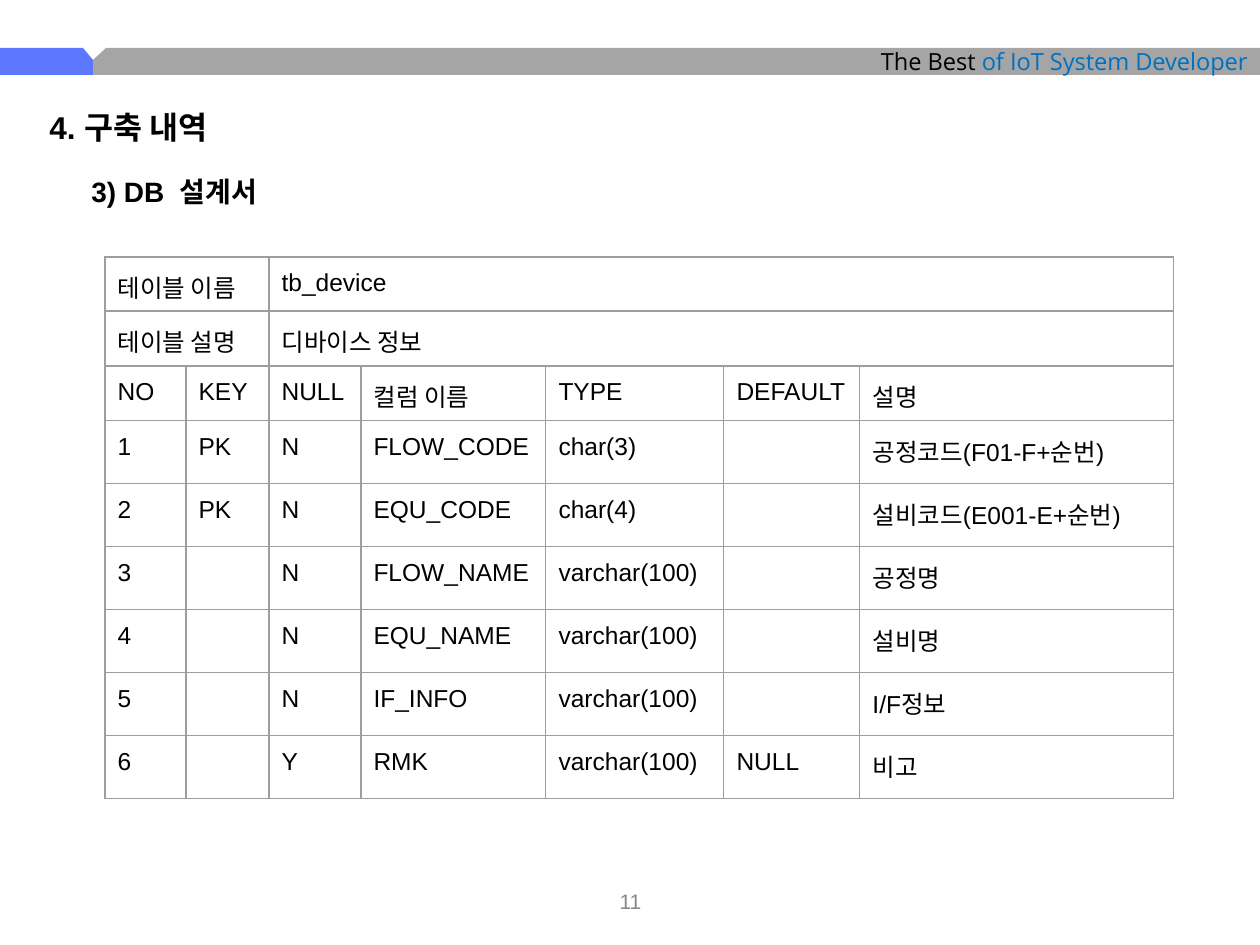
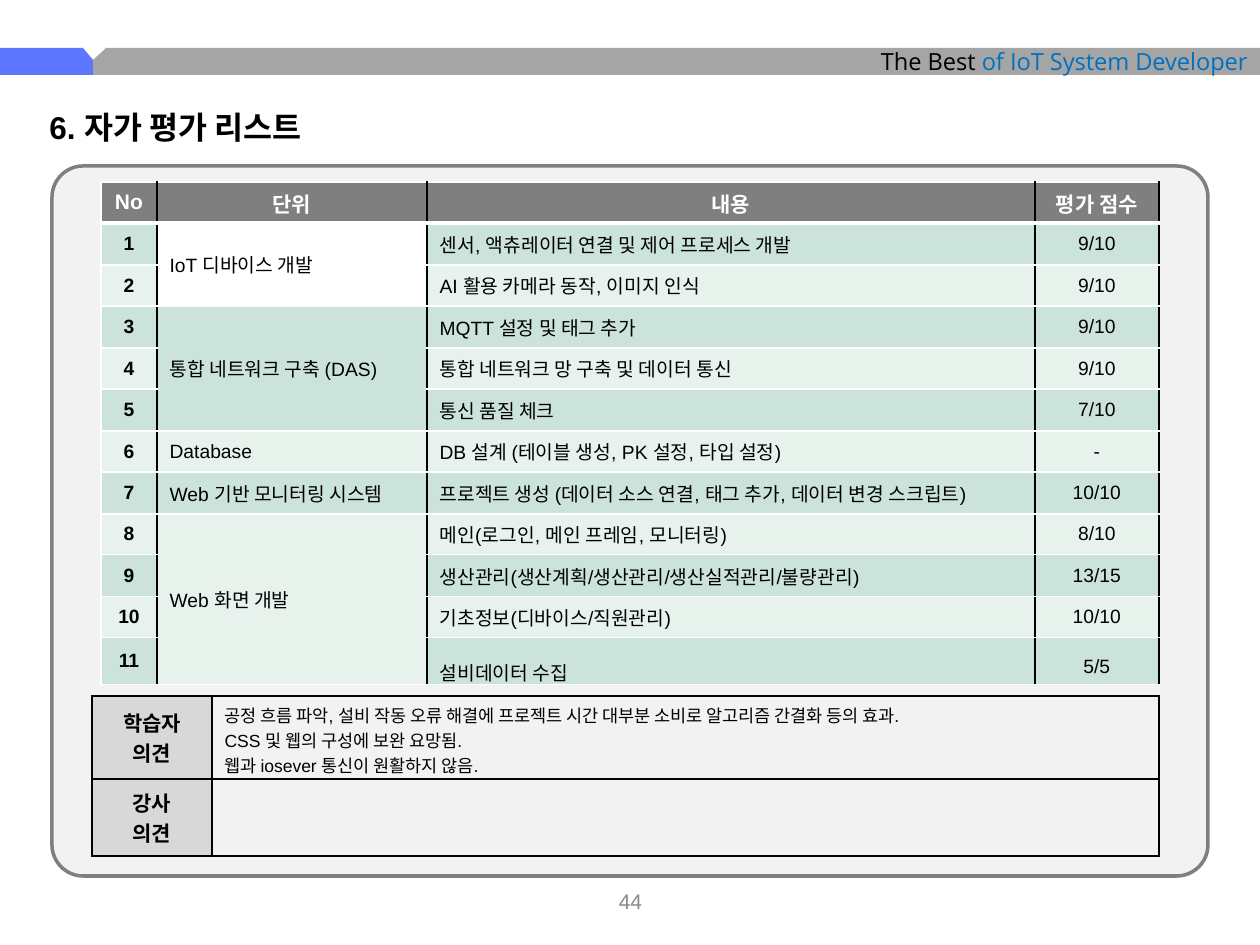
import lxml.etree
import pptx
import pptx.dml.color
import pptx.enum.shapes
import pptx.enum.text
import pptx.oxml.ns
import pptx.util

PX = 914400 / 126
LEFT = pptx.enum.text.PP_ALIGN.LEFT
CENTER = pptx.enum.text.PP_ALIGN.CENTER
RIGHT = pptx.enum.text.PP_ALIGN.RIGHT
TOP = pptx.enum.text.MSO_ANCHOR.TOP
MIDDLE = pptx.enum.text.MSO_ANCHOR.MIDDLE

BLACK, WHITE = "000000", "FFFFFF"
ACCENT, BAND, LINK = "5D78FF", "A5A5A5", "0070C0"
GRID, NUMBER = "9E9E9E", "888888"
PANEL, DARK, LABEL = "F2F2F2", "7F7F7F", "D8D8D8"
STRIPES = ("E7F2ED", "CBE3DA")


def px(value):
    return pptx.util.Emu(round(value * PX))


def color(value):
    return pptx.dml.color.RGBColor.from_string(value)


class Report:
    font = "Arial"
    band_font = "Open Sans"

    def __init__(self):
        self.deck = pptx.Presentation()
        self.deck.slide_width = px(1260)
        self.deck.slide_height = px(945)
        self.page = None

    def start_page(self, number, title):
        self.page = self.deck.slides.add_slide(self.deck.slide_layouts[6])
        self.outline([(0, 48), (83, 48), (93, 60), (93, 75), (0, 75)], ACCENT)
        band = self.outline([(106, 48), (1260, 48), (1260, 75), (93, 75), (93, 60)], BAND)
        band.text_frame.word_wrap = True
        band.text_frame.vertical_anchor = MIDDLE
        para = band.text_frame.paragraphs[0]
        para.alignment = RIGHT
        for words, shade in (("The Best ", BLACK), ("of IoT System Developer", LINK)):
            self.span(para, words, 13.5, shade, font=self.band_font)
        self.text(489, 876, 283, 50, str(number), 12, NUMBER, align=CENTER, anchor=MIDDLE)
        self.text(37, 102, 310, 50, title, 18, bold=True)

    def outline(self, points, fill):
        builder = self.page.shapes.build_freeform(*points[0], scale=PX)
        builder.add_line_segments(points[1:], close=True)
        return self.paint(builder.convert_to_shape(), fill)

    def paint(self, shape, fill, line=None, weight=0):
        shape.shadow.inherit = False
        shape.fill.solid()
        shape.fill.fore_color.rgb = color(fill)
        if line:
            shape.line.color.rgb = color(line)
            shape.line.width = pptx.util.Pt(weight)
        else:
            shape.line.fill.background()
        return shape

    def panel(self, left, top, width, height, corner):
        kind = pptx.enum.shapes.MSO_SHAPE.ROUNDED_RECTANGLE
        shape = self.page.shapes.add_shape(kind, px(left), px(top), px(width), px(height))
        shape.adjustments[0] = corner
        self.paint(shape, PANEL, DARK, 2)

    def span(self, para, words, size, shade=BLACK, bold=False, font=None):
        span = para.add_run()
        span.text = words
        span.font.name = font or self.font
        span.font.size = pptx.util.Pt(size)
        span.font.bold = bold
        span.font.color.rgb = color(shade)

    def add_lines(self, frame, words, size, shade=BLACK, bold=False, align=LEFT, spacing=None):
        for index, line in enumerate(words.split("\n")):
            para = frame.add_paragraph() if index else frame.paragraphs[0]
            para.alignment = align
            if spacing:
                para.line_spacing = spacing
            if line:
                self.span(para, line, size, shade, bold)
            else:
                end = pptx.oxml.ns.qn("a:endParaRPr")
                lxml.etree.SubElement(para._p, end, sz=str(size * 100))

    def text(self, left, top, width, height, words, size, shade=BLACK,
             bold=False, align=LEFT, anchor=TOP):
        box = self.page.shapes.add_textbox(px(left), px(top), px(width), px(height))
        box.text_frame.word_wrap = True
        box.text_frame.vertical_anchor = anchor
        self.add_lines(box.text_frame, words, size, shade, bold, align)

    def border(self, cell, edges):
        properties = cell._tc.get_or_add_tcPr()
        for side, (shade, weight) in zip("LRTB", edges):
            line = lxml.etree.SubElement(
                properties, pptx.oxml.ns.qn("a:ln" + side), w=str(int(pptx.util.Pt(weight))))
            fill = lxml.etree.SubElement(line, pptx.oxml.ns.qn("a:solidFill"))
            lxml.etree.SubElement(fill, pptx.oxml.ns.qn("a:srgbClr"), val=shade)

    def table(self, left, top, widths, heights, rows, merges, style, inset=6, anchor=MIDDLE):
        frame = self.page.shapes.add_table(
            len(heights), len(widths), px(left), px(top), px(sum(widths)), px(sum(heights)))
        table = frame.table
        table.first_row = False
        table.horz_banding = False
        for column, width in zip(table.columns, widths):
            column.width = px(width)
        for line, height in zip(table.rows, heights):
            line.height = px(height)
        for row, values in enumerate(rows):
            for column, words in enumerate(values):
                cell = table.cell(row, column)
                look = style(row, column)
                self.border(cell, look["edges"])
                if look.get("fill"):
                    cell.fill.solid()
                    cell.fill.fore_color.rgb = color(look["fill"])
                else:
                    cell.fill.background()
                cell.vertical_anchor = anchor
                cell.margin_left = cell.margin_right = pptx.util.Inches(0.1)
                cell.margin_top = cell.margin_bottom = px(inset)
                self.add_lines(cell.text_frame, words, **look["text"])
        for first_row, first_column, last_row, last_column in merges:
            table.cell(first_row, first_column).merge(table.cell(last_row, last_column))


def schema_style(row, column):
    return {"edges": [(GRID, 0.75)] * 4, "text": {"size": 14}}


def score_style(row, column):
    header = row == 0
    left = WHITE if column == 0 else BLACK
    top_weight = 3 if row == 1 else 1
    bottom_weight = 3 if header else 1
    edges = [(left, 1), (BLACK, 1), (WHITE, top_weight), (WHITE, bottom_weight)]
    text = {"size": 12 if header else 11,
            "shade": WHITE if header else BLACK,
            "bold": header or column == 0,
            "align": CENTER if header or column in (0, 3) else LEFT}
    if row == 11 and column > 1:
        text["spacing"] = 1.5
    fill = DARK if header else STRIPES[row % 2]
    if column == 1 and row in (1, 2):
        fill = WHITE
    return {"edges": edges, "text": text, "fill": fill}


def opinion_style(row, column):
    edges = [(BLACK, 1)] * 4
    if column:
        return {"edges": edges, "text": {"size": 10}}
    return {"edges": edges, "fill": LABEL,
            "text": {"size": 12, "bold": True, "align": CENTER}}


def build_schema(report):
    report.start_page(11, "4. 구축 내역")
    report.text(79, 168, 205, 47, "3) DB  설계서", 16, bold=True)
    rows = [
        ("테이블 이름", "", "tb_device", "", "", "", ""),
        ("테이블 설명", "", "디바이스 정보", "", "", "", ""),
        ("NO", "KEY", "NULL", "컬럼 이름", "TYPE", "DEFAULT", "설명"),
        ("1", "PK", "N", "FLOW_CODE", "char(3)", "", "공정코드(F01-F+순번)"),
        ("2", "PK", "N", "EQU_CODE", "char(4)", "", "설비코드(E001-E+순번)"),
        ("3", "", "N", "FLOW_NAME", "varchar(100)", "", "공정명"),
        ("4", "", "N", "EQU_NAME", "varchar(100)", "", "설비명"),
        ("5", "", "N", "IF_INFO", "varchar(100)", "", "I/F정보"),
        ("6", "", "Y", "RMK", "varchar(100)", "NULL", "비고"),
    ]
    merges = [(row, first, row, last) for row in (0, 1) for first, last in ((0, 1), (2, 6))]
    report.table(105, 257, [81, 83, 92, 185, 178, 136, 314], [54, 55, 55] + [63] * 6,
                 rows, merges, schema_style, inset=12, anchor=TOP)


def build_evaluation(report):
    report.start_page(44, "6. 자가 평가 리스트")
    report.panel(52, 166, 1156, 710, 0.044)
    tasks = [
        ("IoT 디바이스 개발", "센서, 액츄레이터 연결 및 제어 프로세스 개발", "9/10"),
        ("", "AI 활용 카메라 동작, 이미지 인식", "9/10"),
        ("통합 네트워크 구축 (DAS)", "MQTT 설정 및 태그 추가", "9/10"),
        ("", "통합 네트워크 망 구축 및 데이터 통신", "9/10"),
        ("", "통신 품질 체크", "7/10"),
        ("Database", "DB 설계 (테이블 생성, PK 설정, 타입 설정)", "-"),
        ("Web 기반 모니터링 시스템",
         "프로젝트 생성 (데이터 소스 연결, 태그 추가, 데이터 변경 스크립트)", "10/10"),
        ("Web 화면 개발", "메인(로그인, 메인 프레임, 모니터링)", "8/10"),
        ("", "생산관리(생산계획/생산관리/생산실적관리/불량관리)", "13/15"),
        ("", "기초정보(디바이스/직원관리)", "10/10"),
        ("", "설비데이터 수집", "5/5"),
    ]
    rows = [("No", "단위", "내용", "평가 점수")]
    rows += [(str(number), *task) for number, task in enumerate(tasks, 1)]
    merges = [(first, 1, last, 1) for first, last in ((1, 2), (3, 5), (8, 11))]
    report.table(101, 182, [56, 270, 608, 124], [41, 42] * 5 + [41, 47],
                 rows, merges, score_style)
    opinions = [
        ("학습자\n의견",
         "공정 흐름 파악, 설비 작동 오류 해결에 프로젝트 시간 대부분 소비로 알고리즘 간결화 등의 효과.\n"
         "CSS 및 웹의 구성에 보완 요망됨.\n"
         "웹과 iosever 통신이 원활하지 않음."),
        ("강사\n의견", ""),
    ]
    report.table(92, 696, [120, 947], [83, 77], opinions, [], opinion_style)


def main():
    report = Report()
    build_schema(report)
    build_evaluation(report)
    report.deck.save("out.pptx")


if __name__ == "__main__":
    main()
